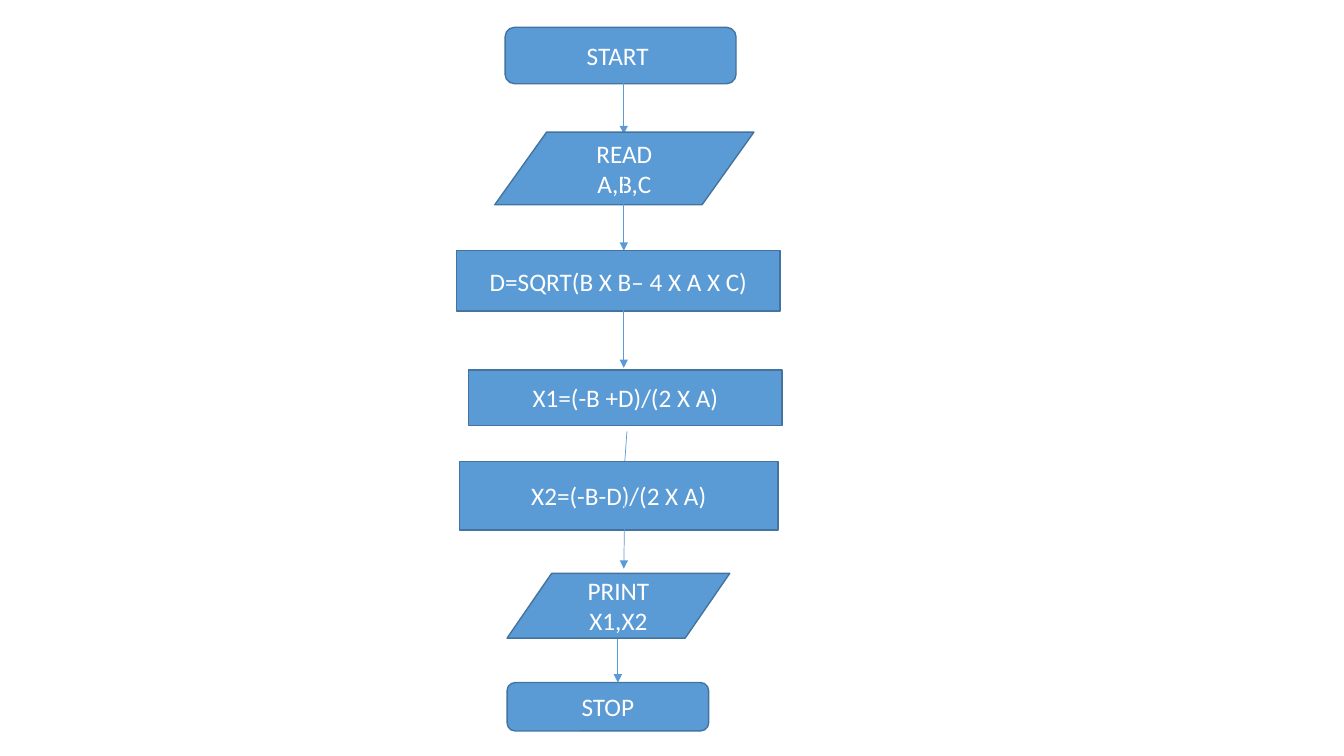
from dataclasses import dataclass

import pptx
import pptx.enum.shapes
import pptx.enum.text
import pptx.oxml.ns
import pptx.util
from lxml import etree
from pptx.dml.color import RGBColor
from pptx.util import Cm

COLORS = {"fill": "5B9BD5", "outline": "43739E", "text": "FFFFFF"}
SHAPES = pptx.enum.shapes.MSO_SHAPE
TERMINAL = SHAPES.ROUNDED_RECTANGLE
DATA = SHAPES.FLOWCHART_DATA
PROCESS = SHAPES.RECTANGLE


@dataclass
class Step:
    text: str
    kind: pptx.enum.shapes.MSO_SHAPE
    left: float
    top: float
    width: float
    height: float


@dataclass
class Arrow:
    start_x: float
    start_y: float
    end_x: float
    end_y: float


FLOW = [
    Step("START ", TERMINAL, 12.73, 0.69, 5.82, 1.42),
    Arrow(15.72, 1.75, 15.72, 3.38),
    Step("READ\nA,B,C", DATA, 12.47, 3.33, 6.53, 1.83),
    Arrow(15.72, 4.24, 15.72, 6.32),
    Step("D=SQRT(B X B– 4 X A X C)", PROCESS, 11.51, 6.32, 8.15, 1.52),
    Arrow(15.72, 7.34, 15.72, 9.27),
    Step("X1=(-B +D)/(2 X A)", PROCESS, 11.81, 9.32, 7.9, 1.4),
    Arrow(15.8, 10.87, 15.65, 12.93),
    Step("X2=(-B-D)/(2 X A)", PROCESS, 11.58, 11.63, 8.03, 1.73),
    Arrow(15.75, 12.37, 15.72, 14.33),
    Step("PRINT X1,X2", DATA, 12.78, 14.45, 5.61, 1.63),
    Step("STOP", TERMINAL, 12.78, 17.2, 5.08, 1.22),
    Arrow(15.57, 16.1, 15.57, 17.2),
]


def color(name: str) -> RGBColor:
    return RGBColor.from_string(COLORS[name])


def draw_step(page: pptx.slide.Slide, step: Step) -> None:
    box = page.shapes.add_shape(
        step.kind, Cm(step.left), Cm(step.top), Cm(step.width), Cm(step.height)
    )
    box.shadow.inherit = False
    box.fill.solid()
    box.fill.fore_color.rgb = color("fill")
    box.line.color.rgb = color("outline")
    box.line.width = pptx.util.Pt(1)
    frame = box.text_frame
    frame.word_wrap = True
    frame.vertical_anchor = pptx.enum.text.MSO_ANCHOR.MIDDLE
    frame.text = step.text
    for para in frame.paragraphs:
        para.alignment = pptx.enum.text.PP_ALIGN.CENTER
        para.font.name = "Calibri"
        para.font.size = pptx.util.Pt(18)
        para.font.color.rgb = color("text")


def draw_arrow(page: pptx.slide.Slide, arrow: Arrow) -> None:
    connector = page.shapes.add_connector(
        pptx.enum.shapes.MSO_CONNECTOR.STRAIGHT,
        Cm(arrow.start_x), Cm(arrow.start_y), Cm(arrow.end_x), Cm(arrow.end_y),
    )
    connector.line.color.rgb = color("fill")
    connector.line.width = pptx.util.Pt(0.5)
    properties = connector.element.spPr
    outline = properties.find(pptx.oxml.ns.qn("a:ln"))
    etree.SubElement(outline, pptx.oxml.ns.qn("a:tailEnd"), type="triangle")
    etree.SubElement(properties, pptx.oxml.ns.qn("a:effectLst"))


deck = pptx.Presentation()
deck.slide_width = Cm(33.87)
deck.slide_height = Cm(19.05)
page = deck.slides.add_slide(deck.slide_layouts[6])
for part in FLOW:
    if isinstance(part, Step):
        draw_step(page, part)
    else:
        draw_arrow(page, part)
deck.save("out.pptx")
